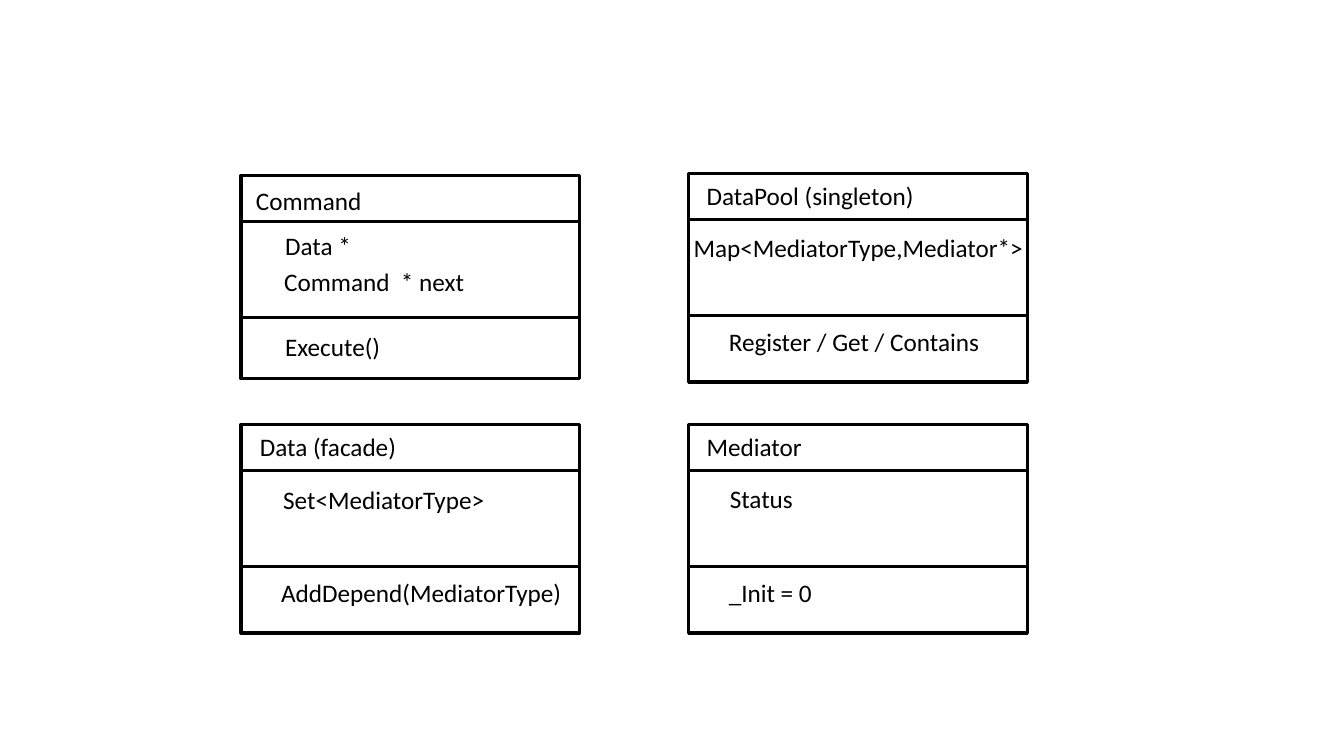
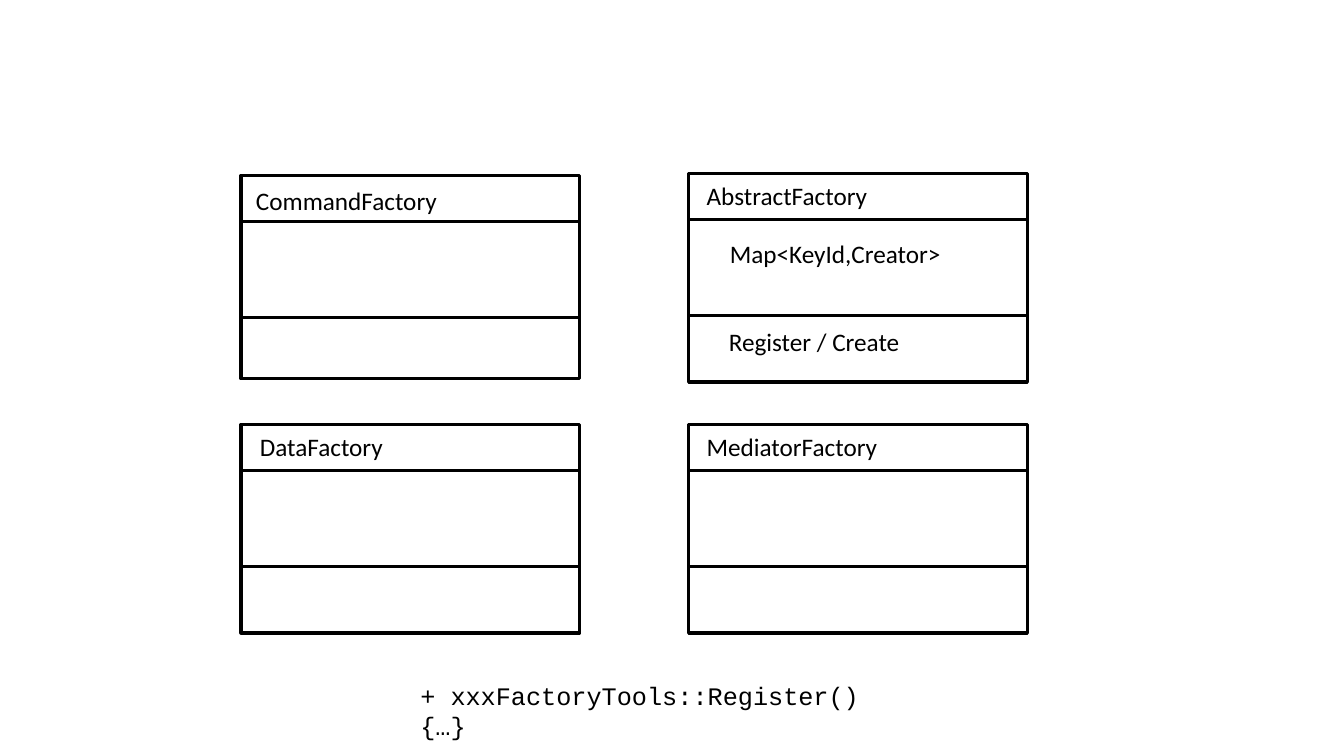
"""Build two slides of class diagrams, four class boxes on each."""
from dataclasses import dataclass

from pptx import Presentation
from pptx import util as u
from pptx.dml.color import RGBColor
from pptx.enum import shapes, text


@dataclass(frozen=True)
class Theme:
    ink: RGBColor = RGBColor(0, 0, 0)
    body_font: str = "Calibri"
    code_font: str = "Courier New"
    text_size: u.Pt = u.Pt(18)
    outline: u.Pt = u.Pt(2.25)


THEME = Theme()
BOX_WIDTH = 3.36
HEADER_HEIGHT = 0.46
UPPER_HEIGHT = 1.41
LABEL_HEIGHT = 0.4

CLASS_BOXES = [
    (2.39, 1.74, 1.56),
    (6.83, 1.72, 1.61),
    (2.39, 4.21, 1.61),
    (6.83, 4.21, 1.61),
]

SLIDE_LABELS = [
    [
        ("Command", 2.44, 1.79, 1.26),
        ("Data *", 2.73, 2.24, 0.86),
        ("Command  * next", 2.72, 2.59, 2.01),
        ("Execute()", 2.73, 3.24, 1.15),
        ("DataPool (singleton)", 6.91, 1.74, 2.28),
        ("Map<MediatorType,Mediator*>", 6.78, 2.26, 3.51),
        ("Register / Get / Contains", 7.13, 3.19, 2.71),
        ("Data (facade)", 2.48, 4.23, 1.57),
        ("Set<MediatorType>", 2.71, 4.76, 2.22),
        ("AddDepend(MediatorType)", 2.69, 5.68, 3.02),
        ("Mediator", 6.91, 4.23, 1.16),
        ("Status", 7.14, 4.75, 0.83),
        ("_Init = 0", 7.13, 5.68, 1.04),
    ],
    [
        ("CommandFactory", 2.44, 1.79, 2.02),
        ("AbstractFactory", 6.91, 1.74, 1.81),
        ("Map<KeyId,Creator>", 7.14, 2.32, 2.32),
        ("Register / Create", 7.13, 3.19, 1.91),
        ("DataFactory", 2.48, 4.23, 1.43),
        ("MediatorFactory", 6.91, 4.23, 1.91),
    ],
]


def add_outline(page, left, top, height):
    box = page.shapes.add_shape(
        shapes.MSO_SHAPE.RECTANGLE,
        u.Inches(left), u.Inches(top), u.Inches(BOX_WIDTH), u.Inches(height))
    box.shadow.inherit = False
    box.fill.background()
    box.line.color.rgb = THEME.ink
    box.line.width = THEME.outline


def add_label(page, words, left, top, width, font=THEME.body_font, wrap=False):
    box = page.shapes.add_textbox(
        u.Inches(left), u.Inches(top), u.Inches(width), u.Inches(LABEL_HEIGHT))
    frame = box.text_frame
    frame.text = words
    frame.word_wrap = wrap
    frame.auto_size = text.MSO_AUTO_SIZE.SHAPE_TO_FIT_TEXT
    span = frame.paragraphs[0].runs[0]
    span.font.name = font
    span.font.size = THEME.text_size
    span.font.color.rgb = THEME.ink


deck = Presentation()
deck.slide_width = u.Inches(13.33)
deck.slide_height = u.Inches(7.5)
blank_layout = deck.slide_layouts.get_by_name("Blank")

for labels in SLIDE_LABELS:
    page = deck.slides.add_slide(blank_layout)
    for left, top, lower_height in CLASS_BOXES:
        add_outline(page, left, top, UPPER_HEIGHT)
        add_outline(page, left, top + HEADER_HEIGHT, lower_height)
    for words, left, top, width in labels:
        add_label(page, words, left, top, width)

add_label(page, "+ xxxFactoryTools::Register(){…}", 4.07, 6.7, 4.63,
          font=THEME.code_font, wrap=True)

deck.save("out.pptx")
